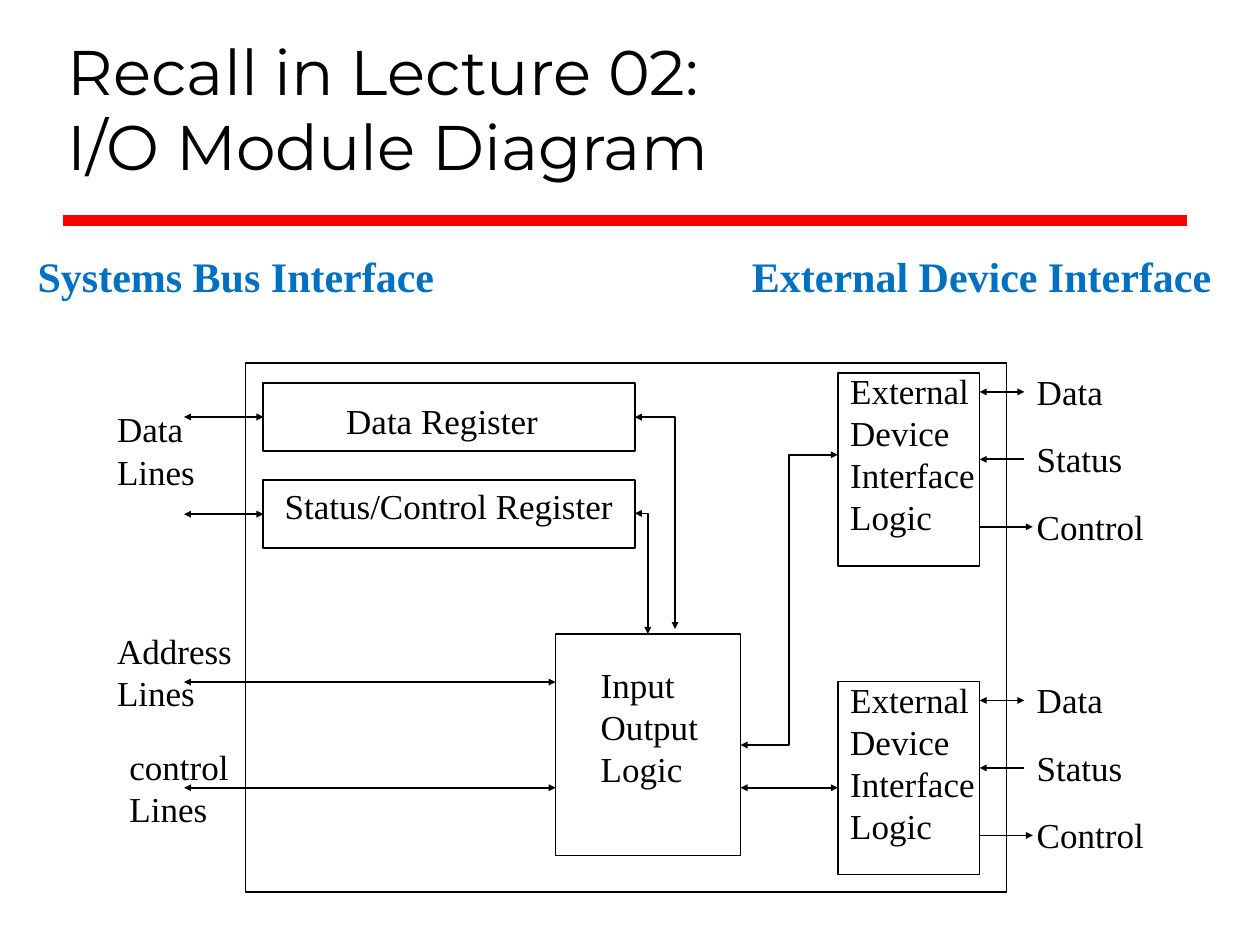
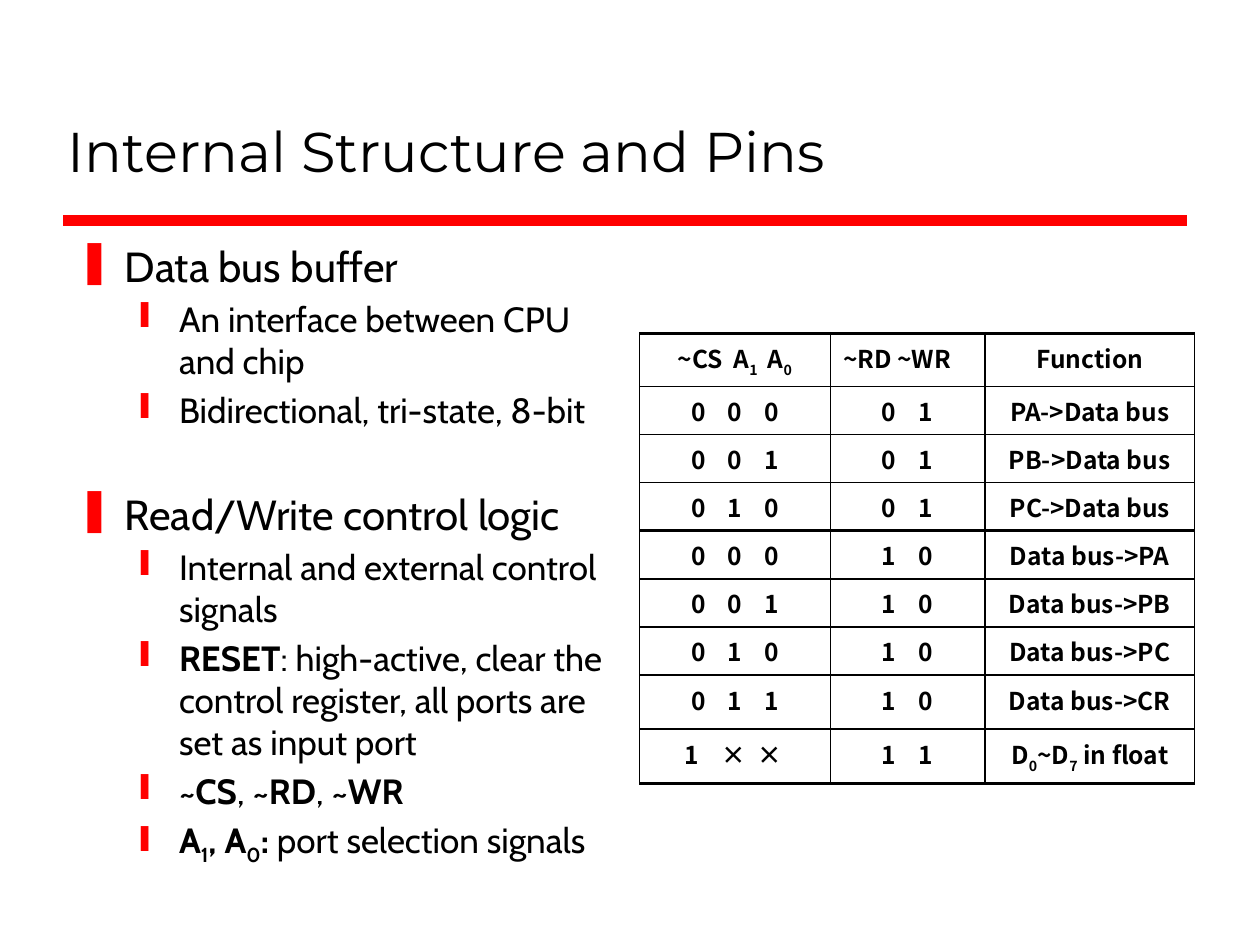
from lxml import etree
from pptx import Presentation
from pptx import util as u
from pptx.dml.color import RGBColor
from pptx.enum import shapes, text
from pptx.oxml.ns import qn

HUES = {"ink": "000000", "bar": "FF0000", "head": "0070C0"}
TITLE = {"name": "Montserrat", "size": u.Pt(36)}
LABEL = {"name": "Times New Roman", "size": u.Pt(20)}
HEAD = {"name": "Times New Roman", "size": u.Pt(24), "bold": True}
CELL = {"name": "Noto Sans CJK SC", "size": u.Pt(14), "bold": True}
LEVELS = [
    {"size": 24, "left": 0.97, "hang": 0.97, "mark": "❚"},
    {"size": 20, "left": 2.06, "hang": 0.79, "mark": "❙"},
]
STRAIGHT, ELBOW = shapes.MSO_CONNECTOR.STRAIGHT, shapes.MSO_CONNECTOR.ELBOW


def hue(key):
    """Return the named colour."""
    return RGBColor.from_string(HUES[key])


def node(root, tag, **attrs):
    """Append a drawing element with attributes."""
    return etree.SubElement(root, qn(f"a:{tag}"), attrs)


def style(font, form, ink="ink"):
    """Apply format values to a font."""
    for key, val in form.items():
        setattr(font, key, val)
    font.color.rgb = hue(ink)


def write(para, words, form, ink="ink", drop=-25):
    """Write runs, with *bold* and _subscript_ marks."""
    for i, chunk in enumerate(words.split("*")):
        for j, part in enumerate(chunk.split("_")):
            if not part:
                continue
            run = para.add_run()
            run.text = part
            style(run.font, form, ink)
            if i % 2:
                run.font.bold = True
            if j % 2:
                run.font._element.set("baseline", str(drop * 1000))


def frame(slide, x, y, w, h):
    """Add a wrapping text box and return its text frame."""
    box = slide.shapes.add_textbox(u.Cm(x), u.Cm(y), u.Cm(w), u.Cm(h))
    box.text_frame.word_wrap = True
    return box.text_frame


def label(slide, x, y, w, *lines, form=LABEL, ink="ink"):
    """Add a label with one paragraph a line."""
    body = frame(slide, x, y, w, 0.25 + 0.85 * len(lines))
    for i, line in enumerate(lines):
        para = body.add_paragraph() if i else body.paragraphs[0]
        write(para, line, form, ink)


def block(slide, x, y, w, h):
    """Add an outlined rectangle."""
    rect = slide.shapes.add_shape(
        shapes.MSO_SHAPE.RECTANGLE, u.Cm(x), u.Cm(y), u.Cm(w), u.Cm(h))
    rect.shadow.inherit = False
    rect.fill.background()
    rect.line.color.rgb = hue("ink")
    rect.line.width = u.Pt(1)
    return rect


def wire(slide, x1, y1, x2, y2, ends="", kind=STRAIGHT, ink="ink", width=1):
    """Add a line with arrowheads at the named ends."""
    line = slide.shapes.add_connector(
        kind, u.Cm(x1), u.Cm(y1), u.Cm(x2), u.Cm(y2))
    line.line.color.rgb = hue(ink)
    line.line.width = u.Pt(width)
    for end in ends.split():
        node(line.line._ln, f"{end}End", type="triangle", w="sm", len="sm")
    node(line._element.spPr, "effectLst")
    return line


def bend(slide, x1, y1, x2, y2):
    """Add a two-way wire with a single corner."""
    line = wire(slide, x1, y1, x2, y2, "head tail", ELBOW)
    line._element.spPr.find(qn("a:prstGeom")).set("prst", "bentConnector2")


def header(deck, words, size=36):
    """Add a slide with its title and red bar."""
    slide = deck.slides.add_slide(deck.slide_layouts[6])
    wire(slide, 1.27, 4.45, 23.93, 4.45, ink="bar", width=6)
    body = frame(slide, 1.12, 0.64, 22.78, 3.18)
    body.vertical_anchor = text.MSO_ANCHOR.BOTTOM
    para = body.paragraphs[0]
    para.text = words
    for run in para.runs:
        style(run.font, {**TITLE, "size": u.Pt(size)})
    return slide


def register(slide, x, y, dx, dy, name):
    """Add a register with its data line on the left."""
    rect = block(slide, x, y, 7.49, 1.37)
    label(slide, x + dx, y + dy, 8.4, name)
    mid = y + 0.685
    line = wire(slide, x, mid, x - 1.6, mid, "head tail")
    line.begin_connect(rect, 1)


def device(slide, x, y):
    """Add external device logic with its three signals."""
    block(slide, x, y, 2.86, 3.89)
    label(slide, x, y - 0.19, 3.6, "External", "Device", "Interface", "Logic")
    edge = x + 2.86
    signals = [("Data", 0, 0.9, "head tail"), ("Status", 0.9, 0, "tail"),
               ("Control", 0, 1.07, "tail")]
    for i, (name, start, stop, ends) in enumerate(signals):
        row = y + 0.38 + 1.36 * i
        wire(slide, edge + start, row, edge + stop, row, ends)
        label(slide, edge + 0.9, row - 0.56, 2.85, name)


def logic(slide, x, y):
    """Add the input output logic with its bus lines."""
    block(slide, x, y, 3.73, 4.47)
    label(slide, x + 0.66, y + 0.48, 2.92, "Input", "Output", "Logic")
    for dy in (0.97, 3.1):
        wire(slide, x, y + dy, 3.71, y + dy, "head tail")
    edge = x + 3.73
    wire(slide, edge, y + 2.24, edge + 1.96, 9.17, "head tail", ELBOW)
    wire(slide, edge, y + 3.1, edge + 1.96, y + 3.1, "head tail")


def diagram(slide, x, y):
    """Draw the whole module relative to its outer box."""
    block(slide, x, y, 15.34, 10.67)
    register(slide, x + 0.36, y + 0.4, 1.42, 0.2, "Data Register")
    register(slide, x + 0.36, y + 2.36, 0.18, -0.03, "Status/Control Register")
    logic(slide, x + 6.25, y + 5.46)
    for dy in (0.2, 6.42):
        device(slide, x + 11.94, y + dy)
    bend(slide, x + 7.85, y + 1.09, x + 8.66, y + 5.36)
    bend(slide, x + 7.85, y + 3.03, x + 8.11, y + 5.46)
    for dx, dy, name in ((-2.84, 0.78, "Data"), (-2.84, 5.25, "Address"),
                         (-2.59, 7.59, "control")):
        label(slide, x + dx, y + dy, 3.3, name, "Lines")


def bullets(slide, x, y, items):
    """Write two-level bullets; each item is level, gap, words."""
    body = frame(slide, x, y, 11.2, 14)
    for i, (level, gap, words) in enumerate(items):
        para = body.add_paragraph() if i else body.paragraphs[0]
        look = LEVELS[level]
        para.level = level
        para.space_before = u.Pt(gap)
        prop = para._p.get_or_add_pPr()
        prop.set("marL", str(u.Cm(look["left"])))
        prop.set("indent", str(-u.Cm(look["hang"])))
        node(node(prop, "buClr"), "srgbClr", val=HUES["bar"])
        node(prop, "buChar", char=look["mark"])
        write(para, words, {"name": "Cabin", "size": u.Pt(look["size"])})


def border(cell, widths):
    """Draw cell borders, given widths by side."""
    prop = cell._tc.get_or_add_tcPr()
    for i, (side, width) in enumerate(widths.items()):
        line = etree.Element(qn(f"a:ln{side}"), w=str(u.Pt(width)))
        node(node(line, "solidFill"), "srgbClr", val=HUES["ink"])
        prop.insert(i, line)


def tabs(cell, lead, stops):
    """Align the parts of a cell on tab stops."""
    cell.margin_left = u.Cm(lead)
    row = node(cell.text_frame.paragraphs[0]._p.get_or_add_pPr(), "tabLst")
    for stop in stops:
        node(row, "tab", pos=str(u.Cm(stop)), algn="l")


def truth(slide, x, y, rows):
    """Add the table of control signals and functions."""
    wide, high = (3.84, 3.12, 4.22), [1.07] + [0.97] * 6 + [1.09] * 2
    grid = slide.shapes.add_table(
        len(rows), 3, u.Cm(x), u.Cm(y), u.Cm(sum(wide)), u.Cm(sum(high))).table
    grid.first_row = grid.horz_banding = False
    for col, size in zip(grid.columns, wide):
        col.width = u.Cm(size)
    heavy = (0, 4, len(rows))
    for r, row in enumerate(rows):
        grid.rows[r].height = u.Cm(high[r])
        for c, words in enumerate(row):
            cell = grid.cell(r, c)
            cell.fill.background()
            border(cell, {"L": 1 if c else 0.75, "R": 0.75 if c == 2 else 1,
                          "T": 2 if r in heavy else 1,
                          "B": 2 if r + 1 in heavy else 1})
            para = cell.text_frame.paragraphs[0]
            write(para, words, CELL, drop=-30)
            if c == 2:
                para.alignment = text.PP_ALIGN.CENTER
            elif r:
                tabs(cell, 0.9 if words.startswith("1\t×") else 1.03,
                     (0.74, 1.48))
            elif c == 0:
                tabs(cell, 0.76, (1.13, 1.82))


def main():
    """Build and save both slides."""
    deck = Presentation()
    deck.slide_width, deck.slide_height = u.Cm(25.4), u.Cm(19.05)

    module = header(deck, "Recall in Lecture 02:\vI/O Module Diagram")
    diagram(module, 4.95, 7.32)
    label(module, 0.51, 4.93, 8.9, "Systems Bus Interface",
          form=HEAD, ink="head")
    label(module, 14.91, 4.93, 10.2, "External Device Interface",
          form=HEAD, ink="head")

    pins = header(deck, "Internal Structure and Pins", 32)
    bullets(pins, 1.3, 4.72, [
        (0, 4.8, "Data bus buffer"),
        (1, 4, "An interface between CPU and chip"),
        (1, 4, "Bidirectional, tri-state, 8-bit"),
        (0, 33, "Read/Write control logic"),
        (1, 4, "Internal and external control signals"),
        (1, 4, "*RESET*: high-active, clear the control register, "
               "all ports are set as input port"),
        (1, 4, "*~CS*, *~RD*, *~WR*"),
        (1, 4, "*A_1_, A_0_:* port selection signals"),
    ])
    picks = ["0\t0\t0", "0\t0\t1", "0\t1\t0", "0\t1\t1"]
    ports = ["PA", "PB", "PC", "CR"]
    reads = [(pick, "0\t1", f"{port}->Data bus")
             for pick, port in zip(picks[:3], ports)]
    writes = [(pick, "1\t0", f"Data bus->{port}")
              for pick, port in zip(picks, ports)]
    truth(pins, 12.9, 6.72, [
        ("~CS\tA_1_\tA_0_", "~RD ~WR", "Function"), *reads, *writes,
        ("1\t×\t×", "1\t1", "D_0_~D_7_ in float")])
    deck.save("out.pptx")


if __name__ == "__main__":
    main()
